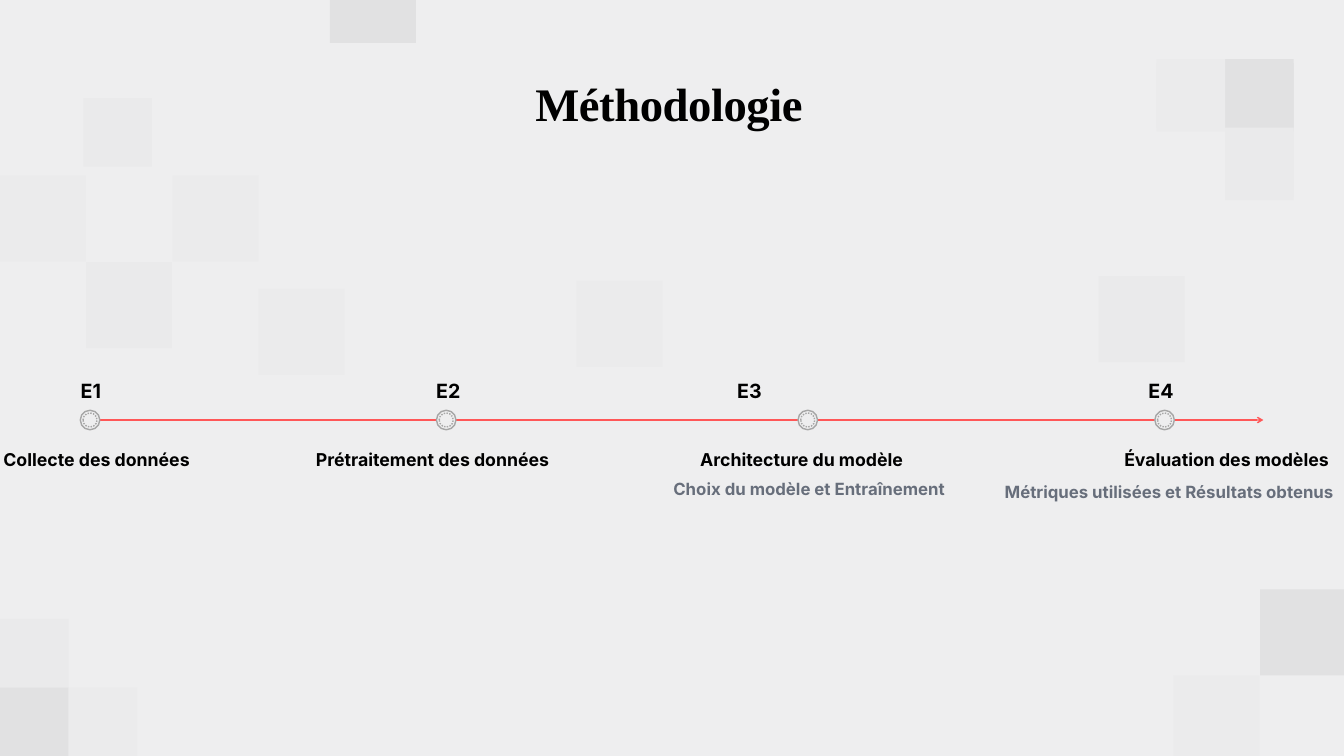
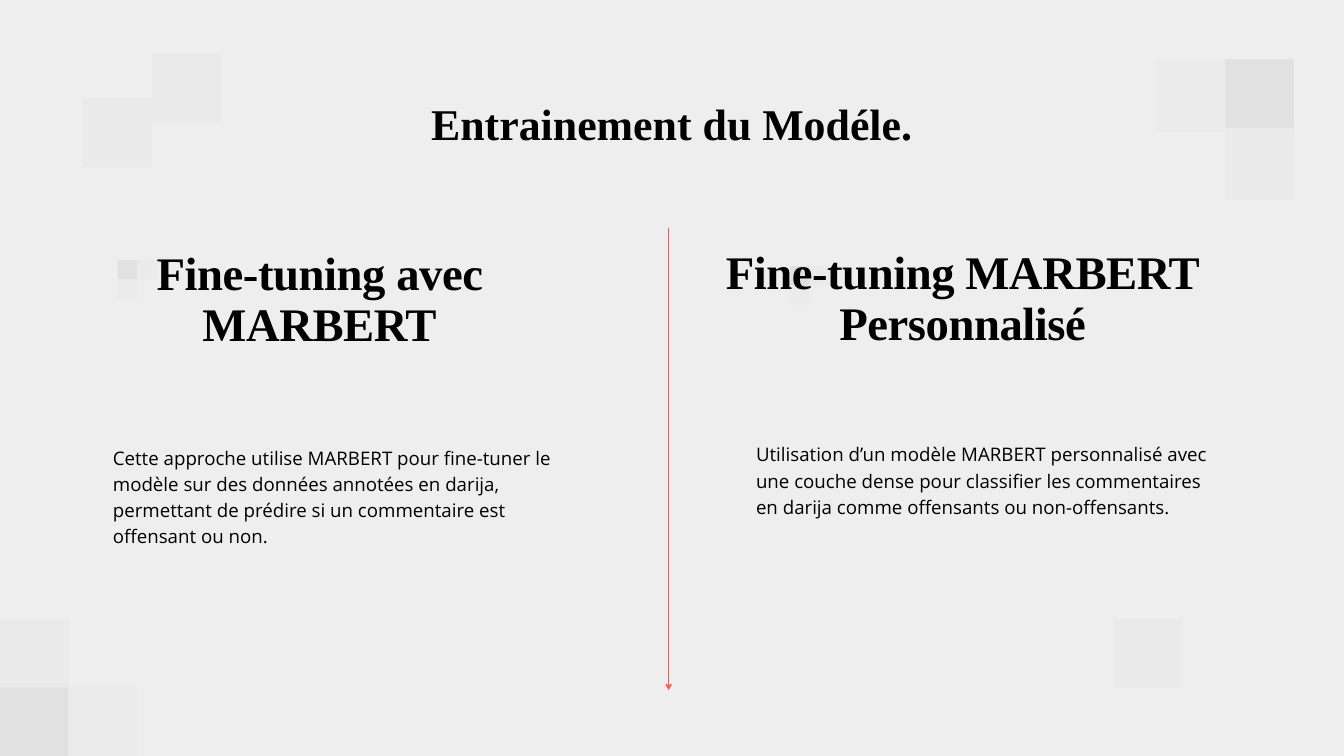
from lxml.etree import SubElement
from pptx import Presentation
from pptx.dml.color import RGBColor
from pptx.enum.dml import MSO_LINE
from pptx.enum.shapes import MSO_CONNECTOR, MSO_SHAPE
from pptx.enum.text import MSO_AUTO_SIZE, PP_ALIGN
from pptx.oxml.ns import qn
from pptx.util import Inches, Pt

COLORS = {
    "bg": "EEEEEF", "dark": "E1E1E2", "mid": "EBEBEC", "light": "EAEAEB",
    "ring": "A6A6A6", "arrow": "FF5757", "text": "000000", "muted": "676E7B",
}
SMALL, LARGE = 1.02, 1.28
SERIF, SANS, BODY = "Times New Roman", "Inter", "Open Sans"


def rgb(name):
    return RGBColor.from_string(COLORS[name])


def write(tf, text, size=20, font=BODY, color="text", bold=False,
          align=PP_ALIGN.LEFT, leading=1.4, spacing=0):
    """Fill a text frame, one paragraph per line of text."""
    for i, line in enumerate(text.split("\n")):
        p = tf.paragraphs[0] if i == 0 else tf.add_paragraph()
        p.alignment = align
        p.line_spacing = Pt(size * leading)
        r = p.add_run()
        r.text = line
        r.font.size, r.font.name, r.font.bold = Pt(size), font, bold
        r.font.color.rgb = rgb(color)
        if spacing:
            r._r.get_or_add_rPr().set("spc", str(spacing))


class Deck:
    def __init__(self):
        self.prs = Presentation()
        self.prs.slide_width, self.prs.slide_height = Inches(20), Inches(11.25)

    def new_slide(self):
        """Start a slide with the background and tiles that all share."""
        self.s = self.prs.slides.add_slide(self.prs.slide_layouts[6])
        self.s.background.fill.solid()
        self.s.background.fill.fore_color.rgb = rgb("bg")
        self.corner(0, 10.23, SMALL, 1, -1)
        for y in (0.94, 0.88):
            self.corner(18.23, y, SMALL, -1, 1)
        self.shape(1.24, 1.46, SMALL, "light")

    def shape(self, x, y, size, fill, kind=MSO_SHAPE.RECTANGLE):
        sp = self.s.shapes.add_shape(kind, Inches(x), Inches(y), Inches(size), Inches(size))
        sp.shadow.inherit = False
        sp.fill.solid()
        sp.fill.fore_color.rgb = rgb(fill)
        sp.line.fill.background()
        return sp

    def corner(self, x, y, size, dx, dy, beside="mid", stacked="light"):
        """Dark tile with one tile beside it and one above or below."""
        self.shape(x, y, size, "dark")
        self.shape(x + dx * size, y, size, beside)
        self.shape(x, y + dy * size, size, stacked)

    def marker(self, cx, cy):
        for size, dash in ((0.29, MSO_LINE.SOLID), (0.21, MSO_LINE.ROUND_DOT)):
            sp = self.shape(cx - size / 2, cy - size / 2, size, "bg", MSO_SHAPE.OVAL)
            sp.line.color.rgb = rgb("ring")
            sp.line.width = Pt(1.5)
            sp.line.dash_style = dash

    def arrow(self, x1, y1, x2, y2):
        c = self.s.shapes.add_connector(
            MSO_CONNECTOR.STRAIGHT, Inches(x1), Inches(y1), Inches(x2), Inches(y2))
        c.line.color.rgb = rgb("arrow")
        c.line.width = Pt(1.5)
        SubElement(c.line._get_or_add_ln(), qn("a:tailEnd")).set("type", "arrow")
        SubElement(c._element.spPr, qn("a:effectLst"))

    def text(self, x, y, w, h, text, **style):
        tf = self.s.shapes.add_textbox(Inches(x), Inches(y), Inches(w), Inches(h)).text_frame
        tf.margin_left = tf.margin_right = tf.margin_top = tf.margin_bottom = 0
        tf.word_wrap = True
        tf.auto_size = MSO_AUTO_SIZE.SHAPE_TO_FIT_TEXT
        write(tf, text, **style)

    def title(self, x, y, w, h, text, size=50, spacing=-50):
        self.text(x, y, w, h, text, size=size, spacing=spacing, font=SERIF,
                  bold=True, align=PP_ALIGN.CENTER, leading=1.1)

    def label(self, x, y, w, h, text, size, color="text"):
        self.text(x, y, w, h, text, size=size, font=SANS, bold=True, color=color)


def methodology(d):
    d.new_slide()
    # Background tiles
    for x, y, fill in ((2.57, 2.61, "mid"), (1.28, 3.9, "light"), (0, 2.61, "mid"),
                       (18.75, 8.77, "dark"), (17.46, 10.05, "mid"),
                       (4.91, -0.64, "dark"), (8.58, 4.18, "mid"),
                       (16.35, 4.11, "light"), (3.85, 4.3, "mid")):
        d.shape(x, y, LARGE, fill)
    d.title(6.22, 1.18, 7.47, 0.78, "Méthodologie")
    # Timeline: marker centre, step left, caption left, caption
    axis = 6.25
    d.arrow(1.34, axis, 18.8, axis)
    steps = ((1.34, 1.2, 0.05, "Collecte des données"),
             (6.64, 6.49, 4.7, "Prétraitement des données"),
             (12.02, 10.97, 10.42, "Architecture du modèle"),
             (17.33, 17.09, 16.73, "Évaluation des modèles"))
    for n, (cx, step_x, caption_x, caption) in enumerate(steps, 1):
        d.marker(cx, axis)
        d.label(step_x, 5.58, 0.91, 0.39, f"E{n}", 21)
        d.label(caption_x, 6.63, 5.35, 0.35, caption, 19)
    # Details under the last two steps
    d.label(10.02, 7.08, 5.36, 0.34, "Choix du modèle et Entraînement", 18, "muted")
    d.label(14.95, 7.12, 5.36, 0.34, "Métriques utilisées et Résultats obtenus", 18, "muted")


def training(d):
    d.new_slide()
    # Background tiles
    d.shape(16.58, 9.22, SMALL, "light")
    d.shape(2.26, 0.79, SMALL, "light")
    for x, y in ((1.75, 3.87), (11.76, 3.96)):
        d.corner(x, y, 0.29, 1, 1, beside="light", stacked="mid")
    d.title(5.55, 1.51, 8.9, 0.72, "Entrainement du Modéle.", size=47, spacing=0)
    d.arrow(9.95, 3.4, 9.95, 10.27)
    # Two approaches
    d.title(1.02, 3.7, 7.47, 1.54, "Fine-tuning avec MARBERT")
    d.text(1.68, 6.59, 6.81, 1.54,
           "Cette approche utilise MARBERT pour fine-tuner le modèle sur des données "
           "annotées en darija, permettant de prédire si un commentaire est offensant ou non.")
    d.title(10.59, 3.68, 7.47, 1.54, "Fine-tuning MARBERT\nPersonnalisé")
    d.text(11.25, 6.54, 6.81, 1.15,
           "Utilisation d’un modèle MARBERT personnalisé avec une couche dense pour "
           "classifier les commentaires en darija comme offensants ou non-offensants.")


def main():
    d = Deck()
    methodology(d)
    training(d)
    d.prs.save("out.pptx")


if __name__ == "__main__":
    main()
